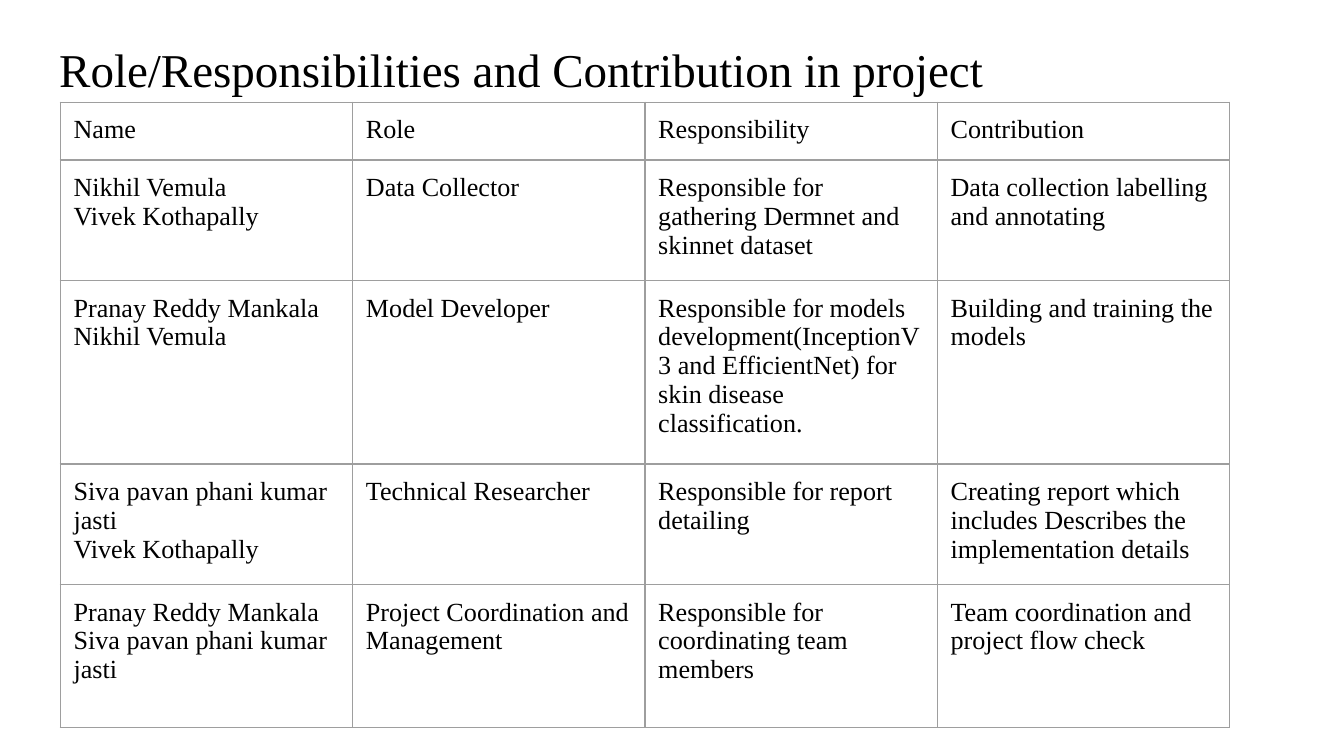
from pptx import Presentation
from pptx.dml.color import RGBColor
from pptx.enum.text import MSO_ANCHOR
from pptx.oxml import parse_xml
from pptx.oxml.ns import nsdecls
from pptx.util import Cm, Pt

BLACK = RGBColor(0x00, 0x00, 0x00)
GREY = RGBColor(0x9E, 0x9E, 0x9E)
FONT = "Times New Roman"
INSET = Cm(0.25)

TITLE = "Role/Responsibilities and Contribution in project"
HEADER = ("Name", "Role", "Responsibility", "Contribution")
# Each line of a cell is a paragraph of its own
ROWS = [
    HEADER,
    ("Nikhil Vemula\nVivek Kothapally", "Data Collector",
     "Responsible for gathering Dermnet and skinnet dataset",
     "Data collection labelling and annotating"),
    ("Pranay Reddy Mankala\nNikhil Vemula", "Model Developer",
     "Responsible for models development(InceptionV3 and EfficientNet) "
     "for skin disease classification.",
     "Building and training the models"),
    ("Siva pavan phani kumar jasti\nVivek Kothapally", "Technical Researcher",
     "Responsible for report detailing",
     "Creating report which includes Describes the implementation details"),
    ("Pranay Reddy Mankala\nSiva pavan phani kumar jasti",
     "Project Coordination and Management",
     "Responsible for coordinating team members",
     "Team coordination and project flow check"),
]
ROW_HEIGHTS = (1.06, 2.14, 3.23, 2.14, 2.7)


def add_text(tf, text, size):
    for i, line in enumerate(text.split("\n")):
        p = tf.add_paragraph() if i else tf.paragraphs[0]
        r = p.add_run()
        r.text = line
        r.font.name = FONT
        r.font.size = Pt(size)
        r.font.color.rgb = BLACK


def set_insets(box):
    box.margin_left = box.margin_right = INSET
    box.margin_top = box.margin_bottom = INSET


def set_borders(cell):
    tc_pr = cell._tc.get_or_add_tcPr()
    for i, side in enumerate(("lnL", "lnR", "lnT", "lnB")):
        # Borders come before the cell's fill
        tc_pr.insert(i, parse_xml(
            f'<a:{side} {nsdecls("a")} w="{Pt(0.75)}"><a:solidFill>'
            f'<a:srgbClr val="{GREY}"/></a:solidFill></a:{side}>'))


def add_title(slide, left, top, width, height):
    tf = slide.shapes.add_textbox(left, top, width, height).text_frame
    tf.word_wrap = True
    tf.vertical_anchor = MSO_ANCHOR.BOTTOM
    set_insets(tf)
    add_text(tf, TITLE, 25.2)


def add_role_table(slide, left, top, width):
    height = Cm(sum(ROW_HEIGHTS))
    table = slide.shapes.add_table(
        len(ROWS), len(HEADER), left, top, width, height).table
    table.first_row = table.horz_banding = False
    for col in table.columns:
        col.width = width // len(HEADER)
    for row, row_height, texts in zip(table.rows, ROW_HEIGHTS, ROWS):
        row.height = Cm(row_height)
        for cell, text in zip(row.cells, texts):
            cell.fill.background()
            set_insets(cell)
            set_borders(cell)
            add_text(cell.text_frame, text, 14)


def main():
    prs = Presentation()
    prs.slide_width, prs.slide_height = Cm(25.4), Cm(14.29)
    slide = prs.slides.add_slide(prs.slide_layouts[6])
    add_title(slide, Cm(0.87), Cm(0.48), Cm(23.67), Cm(1.6))
    add_role_table(slide, Cm(1.14), Cm(1.93), Cm(22.1))
    prs.save("out.pptx")


if __name__ == "__main__":
    main()
